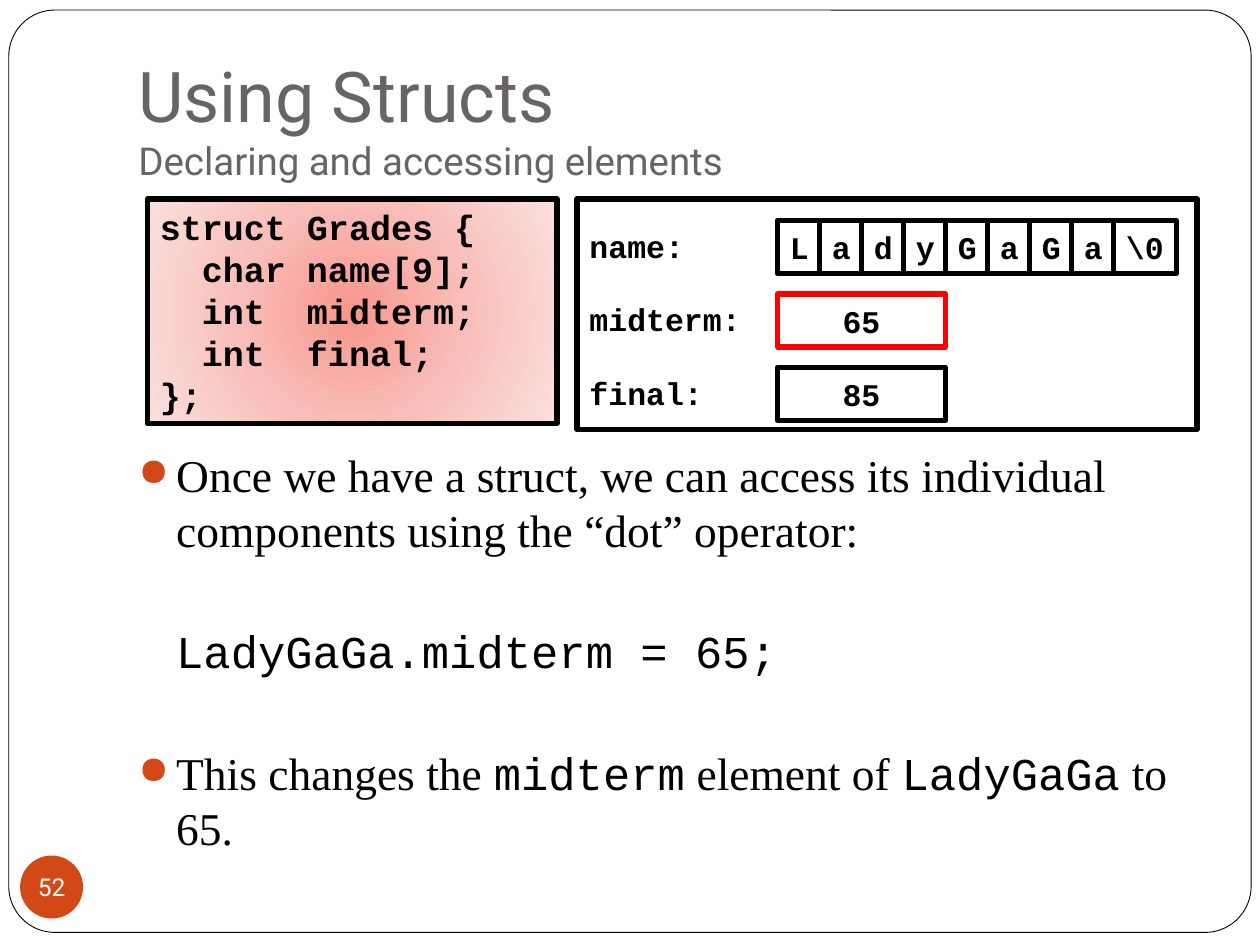
from lxml import etree
from pptx import Presentation
from pptx.dml.color import RGBColor
from pptx.enum.shapes import MSO_SHAPE
from pptx.enum.text import MSO_ANCHOR, PP_ALIGN
from pptx.oxml import parse_xml
from pptx.oxml.ns import nsdecls, qn
from pptx.util import Inches, Pt

BLACK = RGBColor(0x00, 0x00, 0x00)
WHITE = RGBColor(0xFF, 0xFF, 0xFF)
GRAY = RGBColor(0x69, 0x64, 0x64)
RED = RGBColor(0xFF, 0x00, 0x00)
RUST = RGBColor(0xD3, 0x48, 0x17)
MONO, SERIF, SANS = "Courier New", "Times New Roman", "Roboto"

prs = Presentation()
prs.slide_width, prs.slide_height = Inches(10), Inches(7.5)
slide = prs.slides.add_slide(prs.slide_layouts[6])


def add_box(kind, x, y, w, h, fill=None, line=BLACK, width=3):
    box = slide.shapes.add_shape(kind, Inches(x), Inches(y), Inches(w), Inches(h))
    box.shadow.inherit = False
    if fill is None:
        box.fill.background()
    else:
        box.fill.solid()
        box.fill.fore_color.rgb = fill
    if line is None:
        box.line.fill.background()
    else:
        box.line.color.rgb = line
        box.line.width = Pt(width)
    box.text_frame.vertical_anchor = MSO_ANCHOR.MIDDLE
    return box


def add_run(para, text, size, font, color=BLACK, bold=False):
    run = para.add_run()
    run.text = text
    run.font.size = Pt(size)
    run.font.name = font
    run.font.color.rgb = color
    run.font.bold = bold


# Rounded frame
frame = add_box(MSO_SHAPE.ROUNDED_RECTANGLE, 0.07, 0.08, 9.86, 7.32, WHITE, BLACK, 0.5)
frame.adjustments[0] = 0.05

# Title and subtitle
title = slide.shapes.add_textbox(Inches(1), Inches(0.3), Inches(8.5), Inches(1.25))
tf = title.text_frame
tf.word_wrap = True
tf.vertical_anchor = MSO_ANCHOR.BOTTOM
tf.margin_bottom = Inches(0.1)
para = tf.paragraphs[0]
add_run(para, "Using Structs", 40, SANS, GRAY)
para.add_line_break()
add_run(para, "Declaring and accessing elements", 22, SANS, GRAY)

# Body: text parts with their font, and whether the paragraph has a bullet
points = [
    (True, [("Once we have a struct, we can access its individual "
             "components using the “dot” operator:", SERIF)]),
    (False, [("LadyGaGa.midterm = 65;", MONO)]),
    (True, [("This changes the ", SERIF), ("midterm", MONO), (" element of ", SERIF),
            ("LadyGaGa", MONO), (" to 65.", SERIF)]),
]
body = slide.shapes.add_textbox(Inches(1), Inches(3.5), Inches(8.58), Inches(3.75))
tf = body.text_frame
tf.word_wrap = True
for i, (dot, parts) in enumerate(points):
    para = tf.paragraphs[0] if i == 0 else tf.add_paragraph()
    para.line_spacing = Pt(31.2)
    para.space_before = Pt(38.3 if i else 0)
    props = para._p.get_or_add_pPr()
    props.set("marL", str(Inches(0.3)))
    if dot:
        props.set("indent", str(Inches(-0.3)))
        color = etree.SubElement(props, qn("a:buClr"))
        etree.SubElement(color, qn("a:srgbClr"), val=str(RUST))
        etree.SubElement(props, qn("a:buSzPct"), val="85000")
        etree.SubElement(props, qn("a:buChar"), char="●")
    for text, font in parts:
        add_run(para, text, 26, font)

# Struct declaration on a radial gradient
code = add_box(MSO_SHAPE.RECTANGLE, 1.17, 1.58, 3.25, 1.78, WHITE)
stops = "".join(
    f'<a:gs pos="{pos}000"><a:srgbClr val="{tint}"/></a:gs>'
    for pos, tint in [(0, "F7968C"), (50, "F8BFBA"), (100, "FBE0DE")])
grad = parse_xml(
    f'<a:gradFill {nsdecls("a")} rotWithShape="1"><a:gsLst>{stops}</a:gsLst>'
    '<a:path path="circle"><a:fillToRect l="50000" t="50000" r="50000" b="50000"/>'
    '</a:path></a:gradFill>')
props = code._element.spPr
props.replace(props.find(qn("a:solidFill")), grad)
tf = code.text_frame
tf.vertical_anchor = MSO_ANCHOR.TOP
lines = ["struct Grades {", "  char name[9];", "  int  midterm;", "  int  final;", "};"]
for i, text in enumerate(lines):
    para = tf.paragraphs[0] if i == 0 else tf.add_paragraph()
    para.alignment = PP_ALIGN.LEFT
    para.line_spacing = Pt(24)
    add_run(para, text, 20, MONO, bold=True)

# Memory layout: one row per field, each cell with its text and width
add_box(MSO_SHAPE.RECTANGLE, 4.58, 1.58, 4.92, 1.83)
step = 1 / 3
name = [(char, step) for char in "LadyGaGa"] + [("\\0", 0.5)]
rows = [
    ("name:", name, BLACK),
    ("midterm:", [("65", 4 * step)], RED),
    ("final:", [("85", 4 * step)], BLACK),
]
for i, (label, cells, color) in enumerate(rows):
    y = 1.75 + i * 7 / 12
    tag = slide.shapes.add_textbox(Inches(4.58), Inches(y), Inches(1.41), Inches(0.4))
    tag.text_frame.word_wrap = False
    para = tag.text_frame.paragraphs[0]
    para.line_spacing = Pt(21.6)
    add_run(para, label, 18, MONO, bold=True)
    x = 6.17
    for text, w in cells:
        cell = add_box(MSO_SHAPE.RECTANGLE, x, y, w, 0.42, line=color)
        cell.text_frame.word_wrap = True
        para = cell.text_frame.paragraphs[0]
        para.alignment = PP_ALIGN.CENTER
        para.line_spacing = Pt(21.6)
        add_run(para, text, 18, MONO, bold=True)
        x += w

# Page number
badge = add_box(MSO_SHAPE.OVAL, 0.16, 6.79, 0.5, 0.5, RUST, None)
tf = badge.text_frame
tf.word_wrap = False
tf.margin_left = tf.margin_right = tf.margin_top = tf.margin_bottom = 0
tf.paragraphs[0].alignment = PP_ALIGN.CENTER
add_run(tf.paragraphs[0], "52", 14, SANS, WHITE)

prs.save("out.pptx")
